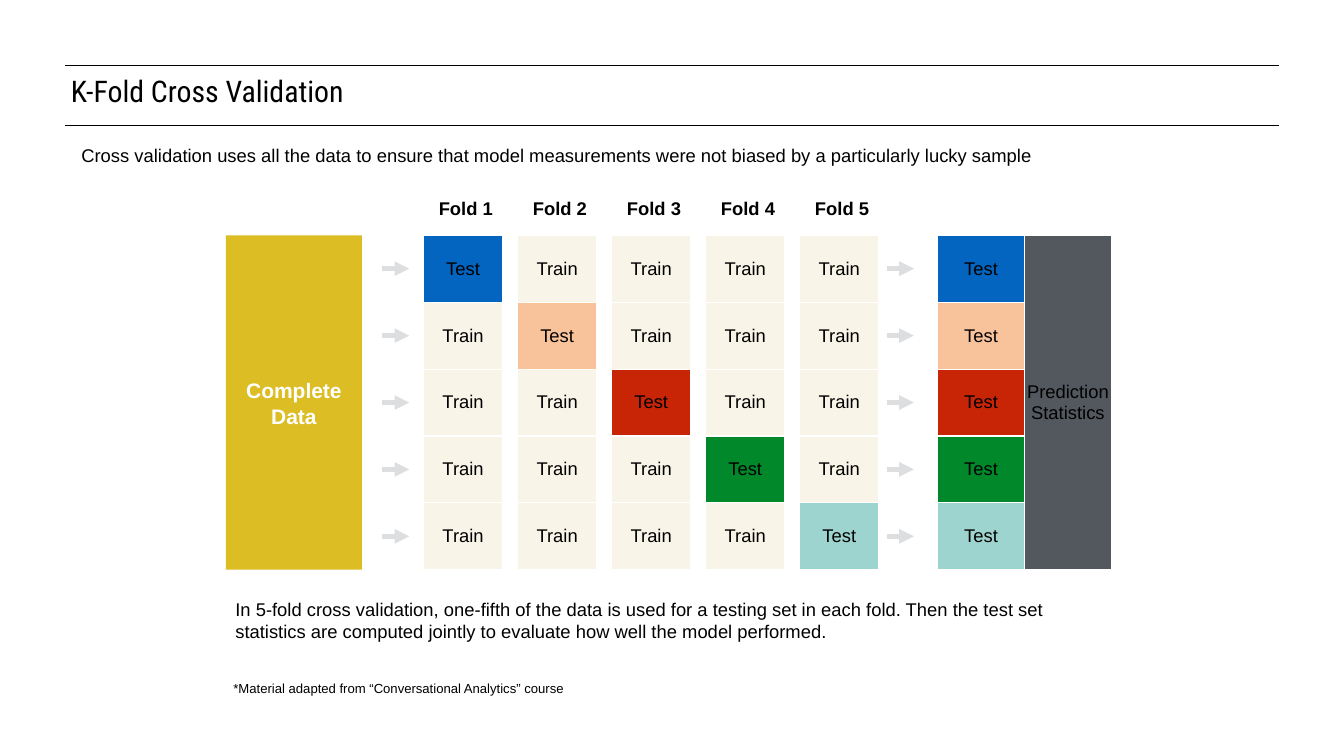
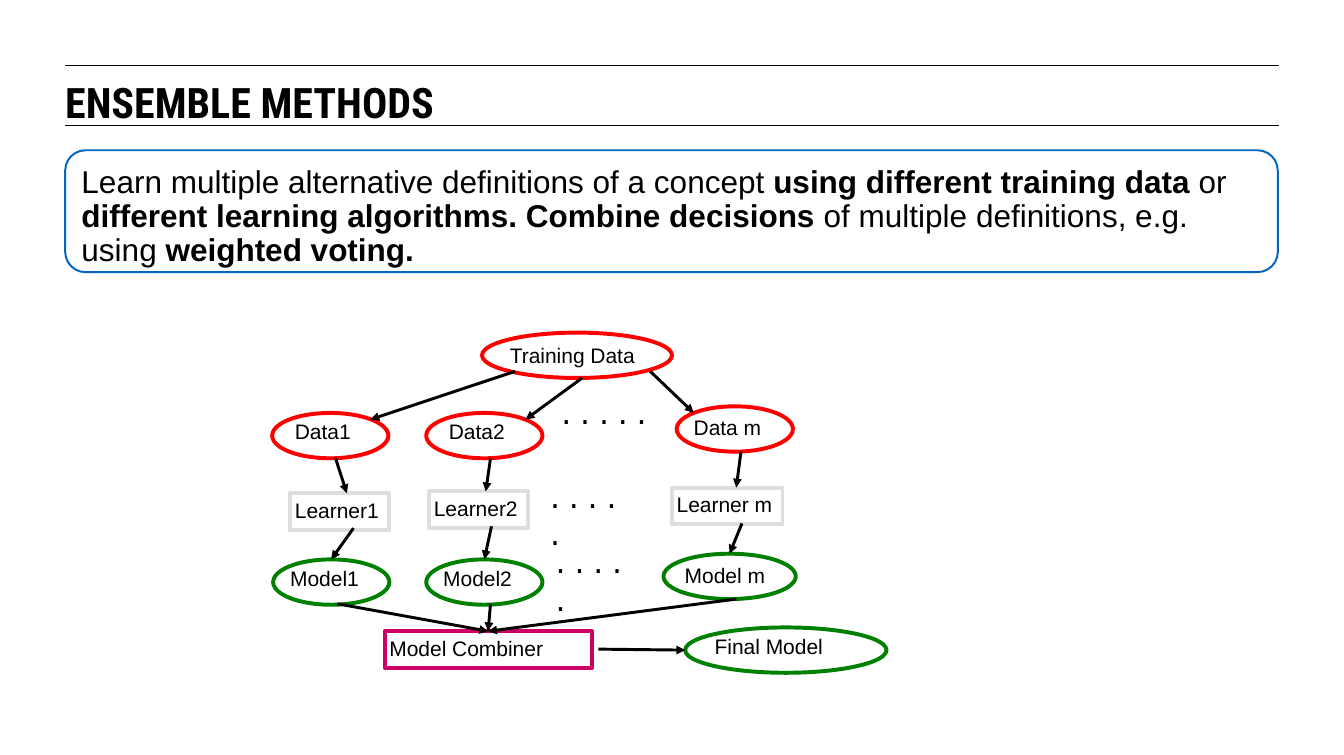
"""Build two slides, on k-fold cross validation and on ensemble methods."""
from dataclasses import dataclass, replace
from typing import Any, NamedTuple, Optional

from lxml import etree
from pptx import Presentation
from pptx import util as u
from pptx.dml.color import RGBColor
from pptx.enum import shapes, text
from pptx.oxml import ns

WIDTH, HEIGHT = 142.2, 79.9
MARGIN, RIGHT_EDGE = 6.9, 135.3
TITLE_RULES = (6.9, 13.3)
BLACK, WHITE, BLUE = "000000", "FFFFFF", "0365C0"
YELLOW, SLATE, CREAM, PALE = "DCBD23", "53585F", "F8F4E7", "DCDEE0"
RED, GREEN, MAGENTA = "FF0000", "008000", "CC0066"
TEST_COLORS = (BLUE, "F8C39A", "C82506", "00882B", "9DD4CF")
FOLDS = len(TEST_COLORS)
TABLE_TOP, ROW, FOLD_LEFT, FOLD_WIDTH, FOLD_STEP = 24.9, 7.08, 44.8, 8.4, 9.95
RECTANGLE = shapes.MSO_SHAPE.RECTANGLE
OVAL = shapes.MSO_SHAPE.OVAL
ROUNDED = shapes.MSO_SHAPE.ROUNDED_RECTANGLE
TOP, MIDDLE = text.MSO_ANCHOR.TOP, text.MSO_ANCHOR.MIDDLE
CENTER = text.PP_ALIGN.CENTER


class Box(NamedTuple):
    left: float
    top: float
    width: float
    height: float


class Insets(NamedTuple):
    left: float = 0
    top: float = 0
    right: float = 0
    bottom: float = 0


class Point(NamedTuple):
    column: float
    row: float


class Piece(NamedTuple):
    words: str
    bold: bool = False


@dataclass(frozen=True)
class Style:
    size: float
    bold: bool = False
    color: str = BLACK
    font: str = "Arial"
    align: Any = text.PP_ALIGN.LEFT
    spacing: Optional[float] = None


@dataclass(frozen=True)
class Node:
    label: str
    box: Box
    color: str
    outline: Any = OVAL
    indent: float = 0
    lift: float = 0


@dataclass(frozen=True)
class Arrow:
    start: Point
    end: Optional[Point] = None
    target: str = ""


BODY = Style(14)
CELL = replace(BODY, align=CENTER)
HEADING = replace(CELL, bold=True)
LABEL = Style(16)
DOTS = Style(24)
TITLE = Style(22.7, font="Roboto Condensed", spacing=0.93)
BIG_TITLE = Style(32, bold=True, font="Roboto Condensed")

NODES = (
    Node("Training Data", Box(51, 35.2, 20.1, 4.8), RED),
    Node("Data1", Box(28.8, 43.7, 12.3, 4.8), RED, indent=0.6, lift=0.9),
    Node("Data2", Box(45.1, 43.7, 12.3, 4.8), RED, indent=0.6, lift=0.9),
    Node("Data m", Box(71.6, 43, 12.3, 4.8), RED, lift=0.3),
    Node("Learner1", Box(30.7, 52.2, 10.5, 3.9), PALE, RECTANGLE, 0.5, 0.4),
    Node("Learner2", Box(45.4, 52, 10.5, 3.9), PALE, RECTANGLE, 0.5, 0.4),
    Node("Learner m", Box(71.1, 51.6, 11.7, 3.9), PALE, RECTANGLE, 0.5, 0.4),
    Node("Model1", Box(28.9, 59.2, 12.3, 4.8), GREEN, lift=0.9),
    Node("Model2", Box(45.1, 59.2, 12.3, 4.8), GREEN, lift=0.9),
    Node("Model m", Box(70.2, 58.6, 14, 4.8), GREEN, indent=0.2, lift=0.3),
    Node("Model Combiner", Box(40.7, 66.8, 21.9, 3.9), MAGENTA, RECTANGLE, 0.5, 0.4),
    Node("Final Model", Box(72.5, 66.4, 21.3, 4.8), GREEN, lift=0.9),
)
ARROWS = (
    Arrow(Point(54.5, 39.3), Point(39.2, 44.4)),
    Arrow(Point(61.6, 40), Point(55.6, 44.4)),
    Arrow(Point(68.8, 39.3), Point(73.4, 43.7)),
    Arrow(Point(35.5, 48.5), Point(36.7, 52.2)),
    Arrow(Point(51.9, 48.5), Point(51.4, 52)),
    Arrow(Point(78.4, 47.8), Point(77.9, 51.6)),
    Arrow(Point(37.4, 55.9), target="Model1"),
    Arrow(Point(52, 55.7), target="Model2"),
    Arrow(Point(78.5, 55.4), target="Model m"),
    Arrow(Point(35.7, 63.9), target="Model Combiner"),
    Arrow(Point(51.9, 63.9), target="Model Combiner"),
    Arrow(Point(77.9, 63.4), target="Model Combiner"),
    Arrow(Point(63.3, 68.7), Point(72.5, 68.8)),
)
DOT_BOXES = (
    Box(58.9, 42.1, 11.7, 4.4),
    Box(57.7, 50.9, 9.5, 4.4),
    Box(58.3, 57.8, 9.5, 4.4),
)
DEFINITION = (
    Piece("Learn multiple alternative definitions of a concept "),
    Piece("using different training data ", True),
    Piece("or "),
    Piece("different learning algorithms. Combine decisions ", True),
    Piece("of multiple definitions, e.g. using "),
    Piece("weighted voting.", True),
)


def grid(cells: float) -> u.Length:
    """Turn grid cells, each a tenth of an inch, into a length."""
    return u.Inches(cells / 10)


def place(box: Box) -> list[u.Length]:
    """Turn a box on the grid into lengths."""
    return [grid(cells) for cells in box]


def color(value: str) -> RGBColor:
    """Turn a hex string into a colour."""
    return RGBColor.from_string(value)


def format_run(run: Any, style: Style, bold: bool) -> None:
    """Give a run its font."""
    run.font.name = style.font
    run.font.size = u.Pt(style.size)
    run.font.bold = bold
    run.font.color.rgb = color(style.color)


def format_paragraph(paragraph: Any, style: Style) -> None:
    """Give a paragraph its alignment, line spacing and run fonts."""
    paragraph.alignment = style.align
    if style.spacing:
        paragraph.line_spacing = style.spacing
    for run in paragraph.runs:
        format_run(run, style, style.bold)


def set_frame(frame: Any, insets: Insets, anchor: Any) -> None:
    """Set the wrapping, insets and anchor of a text frame."""
    frame.word_wrap = True
    frame.vertical_anchor = anchor
    frame.margin_left, frame.margin_top = grid(insets.left), grid(insets.top)
    frame.margin_right, frame.margin_bottom = grid(insets.right), grid(insets.bottom)


def draw_text(slide: Any, box: Box, words: str, style: Style, inset: float = 0) -> None:
    """Draw a text box."""
    frame = slide.shapes.add_textbox(*place(box)).text_frame
    set_frame(frame, Insets(inset, inset, inset, inset), TOP)
    frame.text = words
    format_paragraph(frame.paragraphs[0], style)


def draw_shape(slide: Any, outline: Any, box: Box, fill: str = "",
               line: str = "", weight: float = 3) -> Any:
    """Draw a preset shape with an optional fill and line."""
    shape = slide.shapes.add_shape(outline, *place(box))
    shape.shadow.inherit = False
    if fill:
        shape.fill.solid()
        shape.fill.fore_color.rgb = color(fill)
    else:
        shape.fill.background()
    if line:
        shape.line.color.rgb = color(line)
        shape.line.width = u.Pt(weight)
    else:
        shape.line.fill.background()
    return shape


def draw_line(slide: Any, start: Point, end: Point, line: str = BLACK,
              weight: float = 0.75, arrow: bool = False) -> Any:
    """Draw a straight connector, with an arrowhead if asked."""
    connector = slide.shapes.add_connector(
        shapes.MSO_CONNECTOR.STRAIGHT, *map(grid, (*start, *end)))
    connector.line.color.rgb = color(line)
    connector.line.width = u.Pt(weight)
    properties = connector.element.spPr
    if arrow:
        etree.SubElement(properties.find(ns.qn("a:ln")), ns.qn("a:tailEnd"), type="triangle")
    etree.SubElement(properties, ns.qn("a:effectLst"))
    return connector


def add_slide(presentation: Any, title: str, box: Box, style: Style) -> Any:
    """Add a blank slide with its title between two rules."""
    slide = presentation.slides.add_slide(presentation.slide_layouts[6])
    for row in TITLE_RULES:
        draw_line(slide, Point(MARGIN, row), Point(RIGHT_EDGE, row))
    draw_text(slide, box, title, style)
    return slide


def fill_cell(cell: Any, words: str, fill: str) -> None:
    """Fill a table cell and give it thin white borders."""
    properties = cell._tc.get_or_add_tcPr()
    for side in ("lnL", "lnR", "lnT", "lnB"):
        border = etree.SubElement(properties, ns.qn(f"a:{side}"), w=str(u.Pt(1)))
        solid = etree.SubElement(border, ns.qn("a:solidFill"))
        etree.SubElement(solid, ns.qn("a:srgbClr"), val=WHITE)
    cell.fill.solid()
    cell.fill.fore_color.rgb = color(fill)
    cell.margin_left = cell.margin_right = cell.margin_top = cell.margin_bottom = 0
    cell.vertical_anchor = MIDDLE
    cell.text_frame.text = words
    format_paragraph(cell.text_frame.paragraphs[0], CELL)


def draw_table(slide: Any, left: float, column_width: float, columns: int,
               tests: set[int]) -> Any:
    """Draw a table whose first column marks the rows used for testing."""
    box = Box(left, TABLE_TOP, column_width * columns, ROW * FOLDS)
    table = slide.shapes.add_table(FOLDS, columns, *place(box)).table
    table.first_row = table.horz_banding = False
    for row, test_color in enumerate(TEST_COLORS):
        words, fill = ("Test", test_color) if row in tests else ("Train", CREAM)
        fill_cell(table.cell(row, 0), words, fill)
    return table


def build_cross_validation(presentation: Any) -> None:
    """Build the slide on k-fold cross validation."""
    slide = add_slide(presentation, "K-Fold Cross Validation", Box(7.5, 8, 91.8, 3.7), TITLE)
    draw_text(slide, Box(8.6, 15.2, 108.1, 2.2),
              "Cross validation uses all the data to ensure that model measurements "
              "were not biased by a particularly lucky sample", BODY)
    data = draw_shape(slide, RECTANGLE, Box(23.9, TABLE_TOP, 14.4, ROW * FOLDS), YELLOW)
    set_frame(data.text_frame, Insets(1, 1, 1, 1), MIDDLE)
    data.text_frame.text = "Complete Data"
    format_paragraph(data.text_frame.paragraphs[0],
                     Style(16, True, WHITE, align=CENTER, spacing=1.06))
    for fold in range(FOLDS):
        left = FOLD_LEFT + fold * FOLD_STEP
        draw_table(slide, left, FOLD_WIDTH, 1, {fold})
        draw_text(slide, Box(left + 0.3, 20.9, FOLD_WIDTH, 2.2), f"Fold {fold + 1}", HEADING)
        middle = TABLE_TOP + (fold + 0.5) * ROW
        for start in (40.4, 93.8):
            draw_line(slide, Point(start, middle), Point(start + 2.9, middle), PALE, 3.75, True)
    results = draw_table(slide, 99.2, 9.2, 2, set(range(FOLDS)))
    results.cell(0, 1).merge(results.cell(FOLDS - 1, 1))
    fill_cell(results.cell(0, 1), "Prediction Statistics", SLATE)
    draw_text(slide, Box(24.9, 63.3, 92.4, 4.4),
              "In 5-fold cross validation, one-fifth of the data is used for a testing set "
              "in each fold. Then the test set statistics are computed jointly to evaluate "
              "how well the model performed.", BODY)
    draw_text(slide, Box(24.7, 72, 66.7, 1.5),
              "*Material adapted from “Conversational Analytics” course", Style(10))


def build_ensemble_methods(presentation: Any) -> None:
    """Build the slide on ensemble methods."""
    slide = add_slide(presentation, "ENSEMBLE METHODS", Box(6.9, 8.1, 128.3, 5.3), BIG_TITLE)
    card = draw_shape(slide, ROUNDED, Box(MARGIN, 15.9, 128.3, 12.9), WHITE, BLUE, 1.5)
    set_frame(card.text_frame, Insets(1.1, 1.1, 1), TOP)
    paragraph = card.text_frame.paragraphs[0]
    format_paragraph(paragraph, Style(24, spacing=0.9))
    for piece in DEFINITION:
        run = paragraph.add_run()
        run.text = piece.words
        format_run(run, DOTS, piece.bold)
    drawn = {}
    for node in NODES:
        shape = draw_shape(slide, node.outline, node.box, line=node.color)
        set_frame(shape.text_frame, Insets(node.indent, bottom=node.lift), MIDDLE)
        shape.text_frame.text = node.label
        format_paragraph(shape.text_frame.paragraphs[0], LABEL)
        drawn[node.label] = shape
    for box in DOT_BOXES:
        draw_text(slide, box, "⋅ ⋅ ⋅ ⋅ ⋅", DOTS, 0.5)
    for arrow in ARROWS:
        connector = draw_line(slide, arrow.start, arrow.end or arrow.start, BLACK, 2.25, True)
        if arrow.target:
            connector.end_connect(drawn[arrow.target], 0)


def main() -> None:
    """Build and save the presentation."""
    presentation = Presentation()
    presentation.slide_width, presentation.slide_height = grid(WIDTH), grid(HEIGHT)
    build_cross_validation(presentation)
    build_ensemble_methods(presentation)
    presentation.save("out.pptx")


if __name__ == "__main__":
    main()
